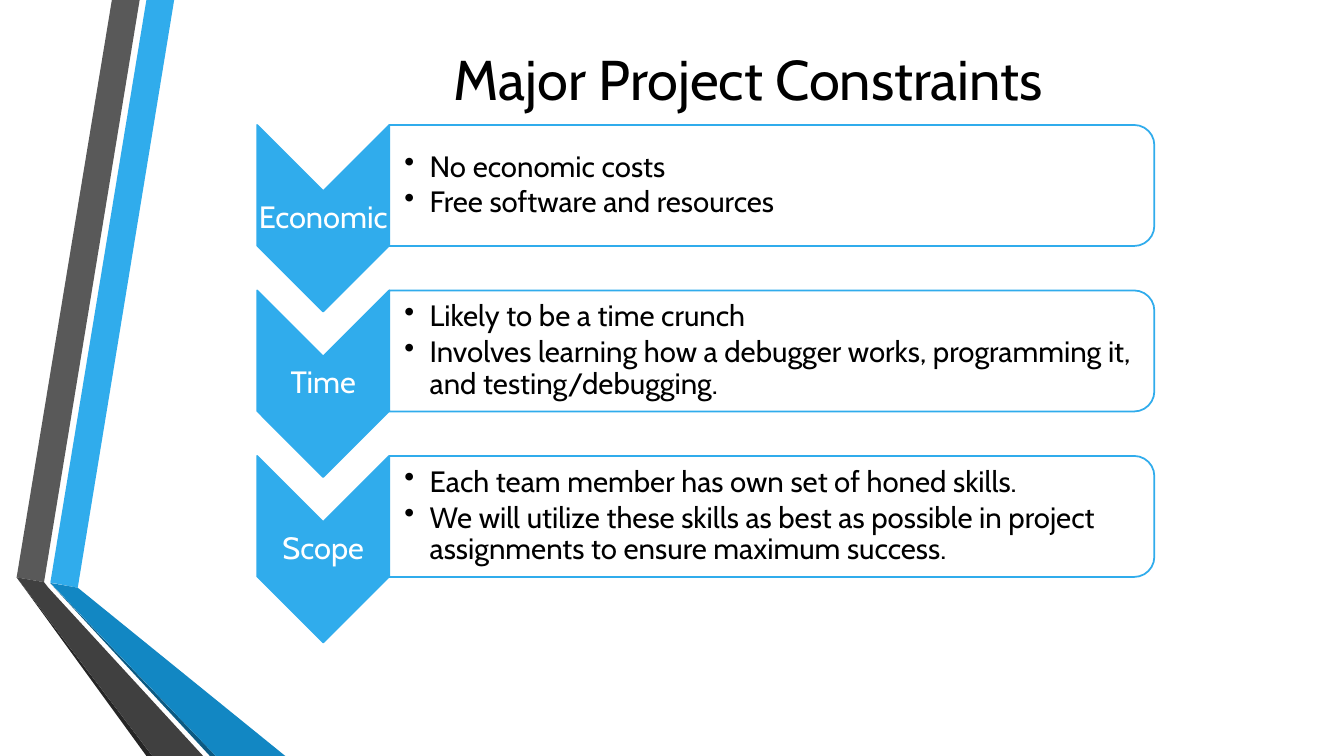
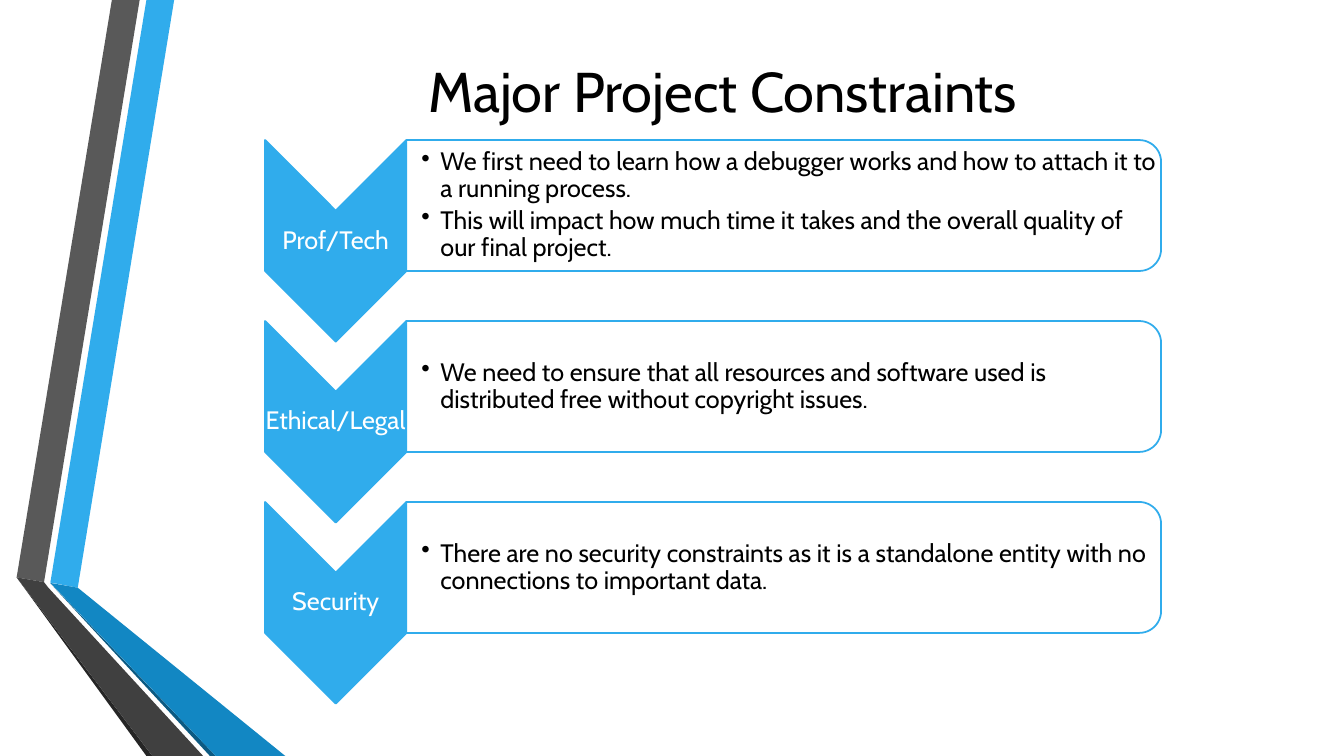
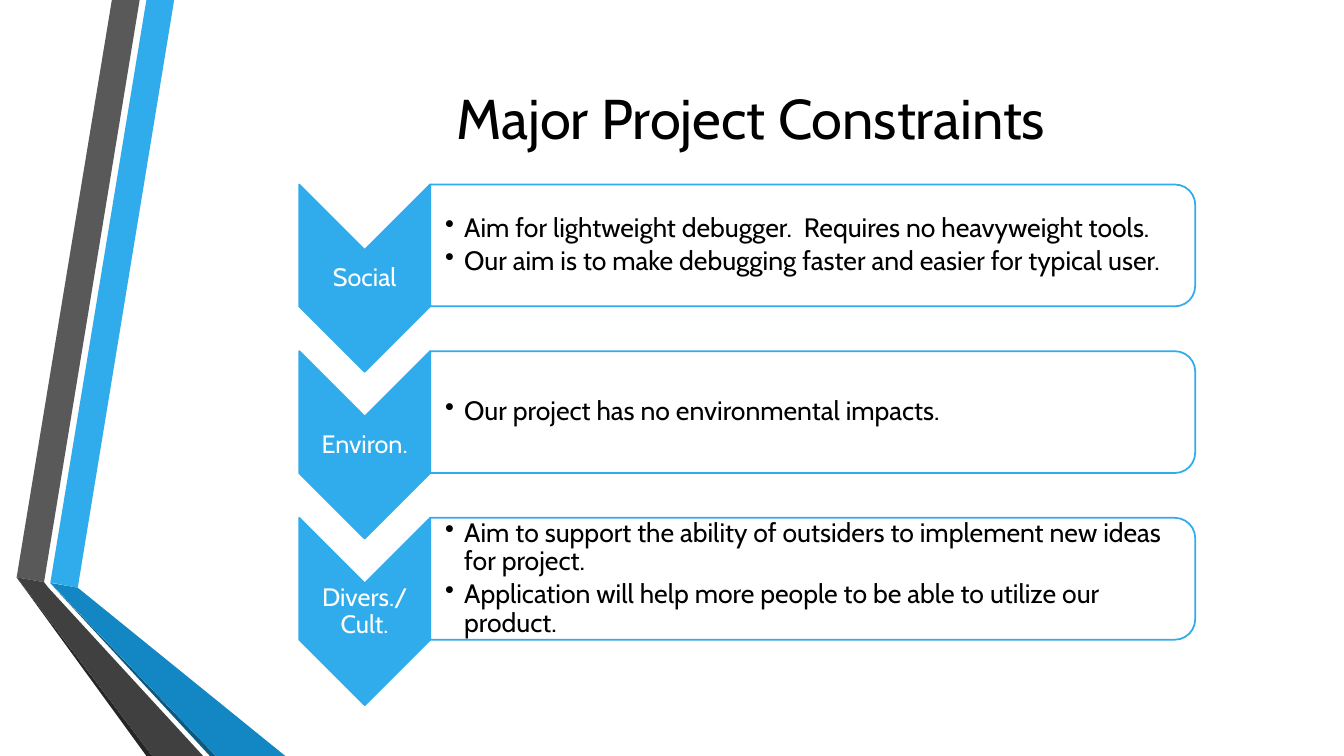
from pptx import Presentation as Deck
from pptx.dml.color import RGBColor as Rgb
from pptx.enum.shapes import MSO_SHAPE as Kind
from pptx.enum.text import MSO_ANCHOR as Anchor, PP_ALIGN as Align
from pptx.oxml.xmlchemy import OxmlElement as Node
from pptx.util import Cm, Pt

# Style
FONT = "Cabin"
BLUE = Rgb(0x30, 0xAC, 0xEC)
DEEP = Rgb(0x12, 0x87, 0xC3)
NAVY = Rgb(0x0C, 0x5A, 0x82)
GRAY = Rgb(0x59, 0x59, 0x59)
DARK = Rgb(0x40, 0x40, 0x40)
COAL = Rgb(0x26, 0x26, 0x26)
BLACK = Rgb(0, 0, 0)
WHITE = Rgb(255, 255, 255)

# Side bands: colour and corners in cm
BANDS = [
    (BLUE, [(1.27, 14.68), (1.96, 14.81), (4.39, 0), (3.69, 0)]),
    (GRAY, [(3.52, 0), (2.82, 0), (0.42, 14.55), (1.11, 14.67)]),
    (COAL, [(0.42, 14.55), (3.69, 19.05), (3.84, 19.05)]),
    (NAVY, [(1.27, 14.7), (5.29, 19.05), (5.44, 19.05)]),
    (DEEP, [(1.27, 14.69), (5.44, 19.05), (7.19, 19.05), (1.96, 14.81)]),
    (DARK, [(5.12, 19.05), (1.22, 14.81), (1.11, 14.67), (0.42, 14.55),
            (3.84, 19.05)]),
]


class Maker:
    def __init__(self):
        self.deck = Deck()
        self.deck.slide_width, self.deck.slide_height = Cm(33.87), Cm(19.05)

    def page(self):
        """Start a blank slide with the side bands."""
        blank = self.deck.slide_layouts[6]
        self.shapes = self.deck.slides.add_slide(blank).shapes
        for color, spots in BANDS:
            self.band(color, spots)

    def paint(self, shape, fill, line=None):
        shape.shadow.inherit = False
        shape.fill.solid()
        shape.fill.fore_color.rgb = fill
        if line is None:
            shape.line.fill.background()
        else:
            shape.line.color.rgb = line
            shape.line.width = Pt(1.25)

    def band(self, color, spots):
        (x, y), *rest = [(Cm(a), Cm(b)) for a, b in spots]
        path = self.shapes.build_freeform(x, y)
        path.add_line_segments(rest, close=True)
        self.paint(path.convert_to_shape(), color)

    def turned(self, kind, x, y, w, h, fill):
        """Add a shape turned a quarter that covers the given area."""
        left, top = x + (w - h) / 2, y + (h - w) / 2
        shape = self.shapes.add_shape(kind, Cm(left), Cm(top), Cm(h), Cm(w))
        shape.rotation = 90
        self.paint(shape, fill, BLUE)

    def text(self, x, y, w, h, lines, size, color=BLACK, pad=0, **form):
        box = self.shapes.add_textbox(Cm(x), Cm(y), Cm(w), Cm(h))
        frame = box.text_frame
        look = {"word_wrap": True, "vertical_anchor": Anchor.MIDDLE,
                "margin_left": Cm(pad), "margin_right": 0,
                "margin_top": 0, "margin_bottom": 0}
        for name, value in look.items():
            setattr(frame, name, value)
        face = {"name": FONT, "size": Pt(size)}
        for at, line in enumerate(lines):
            para = frame.add_paragraph() if at else frame.paragraphs[0]
            run = para.add_run()
            run.text = line
            run.font.color.rgb = color
            for name, value in face.items():
                setattr(run.font, name, value)
            for name, value in form.items():
                setattr(para, name, value)
        return frame

    def title(self, x, y, words):
        self.text(x, y, 27.84, 3.2, [words], 40, alignment=Align.CENTER)

    def bullets(self, x, y, w, h, lines, size, dent):
        frame = self.text(x, y, w, h, lines, size, pad=0.38,
                          line_spacing=0.9, space_after=Pt(round(size * 0.15)))
        for para in frame.paragraphs:
            props = para._p.get_or_add_pPr()
            props.set("marL", str(Cm(dent)))
            props.set("indent", str(-Cm(dent)))
            mark = Node("a:buChar")
            mark.set("char", "•")
            props.append(mark)

    def rows(self, x, y, tip, tall, wide, high, step, sizes, dent, items):
        """Stack chevrons with a box of bullets beside each."""
        for at, (name, lines) in enumerate(items):
            top = y + at * step
            self.turned(Kind.CHEVRON, x, top, tip, tall, BLUE)
            self.text(x, top + tip / 2, tip, tall - tip, [name], sizes[0],
                      WHITE, alignment=Align.CENTER, line_spacing=0.9)
            self.turned(Kind.ROUND_2_SAME_RECTANGLE, x + tip, top, wide, high,
                        WHITE)
            self.bullets(x + tip, top, wide - 0.13, high, lines, sizes[1],
                         dent)


# Title place, layout of the rows, and their words
PAGES = [
    ((4.93, 0.36),
     dict(x=6.48, y=3.15, tip=3.33, tall=4.7, wide=19.28, high=3.05,
          step=4.17, sizes=(22, 21), dent=0.64),
     [("Economic", ["No economic costs", "Free software and resources"]),
      ("Time", ["Likely to be a time crunch",
                "Involves learning how a debugger works, programming it, "
                "and testing/debugging."]),
      ("Scope", ["Each team member has own set of honed skills.",
                 "We will utilize these skills as best as possible in "
                 "project assignments to ensure maximum success."])]),
    ((4.29, 0.66),
     dict(x=6.68, y=3.53, tip=3.56, tall=5.08, wide=19.02, high=3.3,
          step=4.56, sizes=(18, 18), dent=0.48),
     [("Prof/Tech", ["We first need to learn how a debugger works and how to "
                     "attach it to a running process.",
                     "This will impact how much time it takes and the "
                     "overall quality of our final project."]),
      ("Ethical/Legal", ["We need to ensure that all resources and software "
                         "used is distributed free without copyright "
                         "issues."]),
      ("Security", ["There are no security constraints as it is a standalone "
                    "entity with no connections to important data."])]),
    ((5, 1.35),
     dict(x=7.54, y=4.65, tip=3.3, tall=4.72, wide=19.28, high=3.07,
          step=4.2, sizes=(18, 19), dent=0.48),
     [("Social", ["Aim for lightweight debugger.  Requires no heavyweight "
                  "tools.",
                  "Our aim is to make debugging faster and easier for "
                  "typical user."]),
      ("Environ.", ["Our project has no environmental impacts."]),
      ("Divers./Cult.", ["Aim to support the ability of outsiders to "
                         "implement new ideas for project.",
                         "Application will help more people to be able to "
                         "utilize our product."])]),
]


def main():
    maker = Maker()
    for place, grid, items in PAGES:
        maker.page()
        maker.title(*place, "Major Project Constraints")
        maker.rows(**grid, items=items)
    maker.deck.save("out.pptx")


if __name__ == "__main__":
    main()
